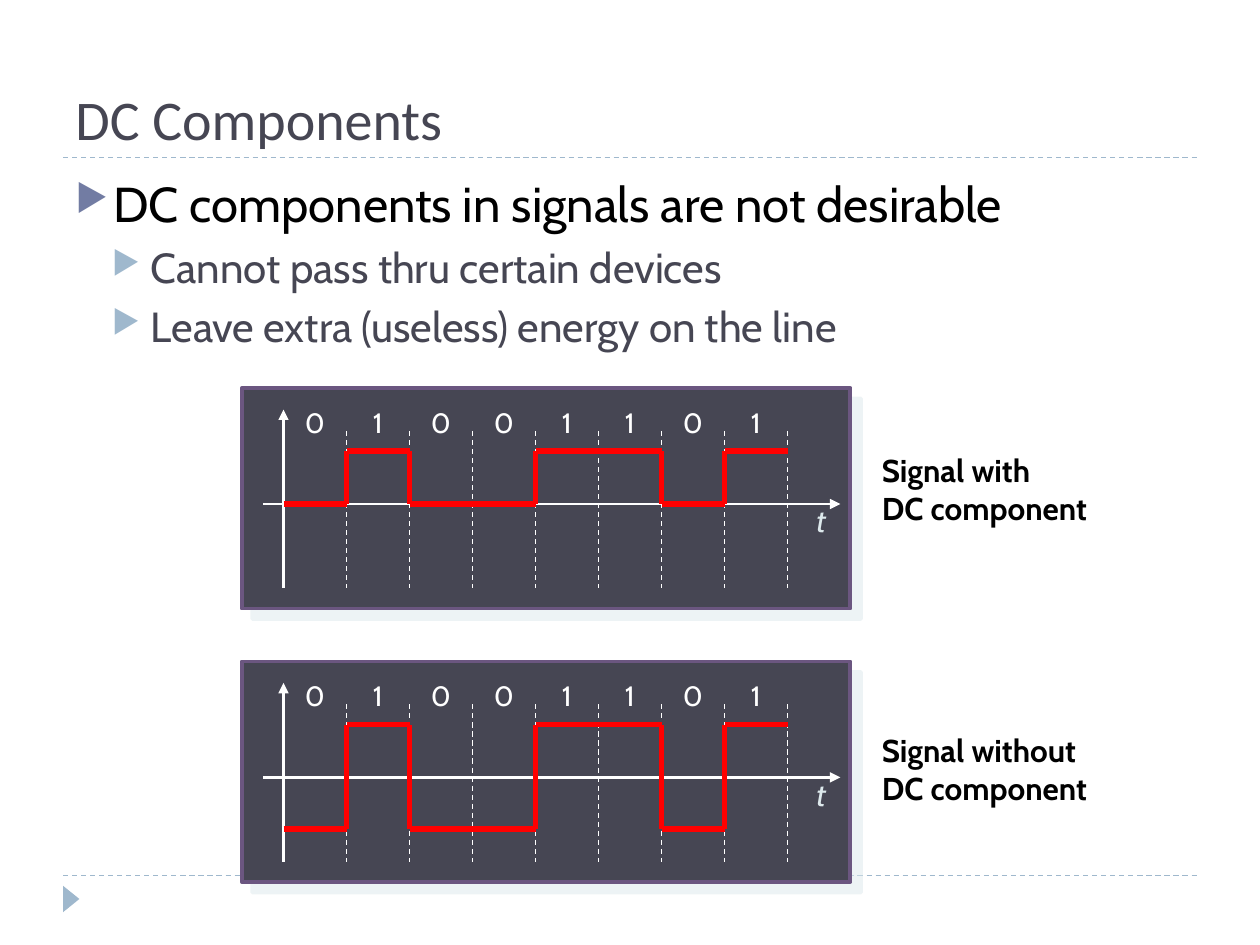
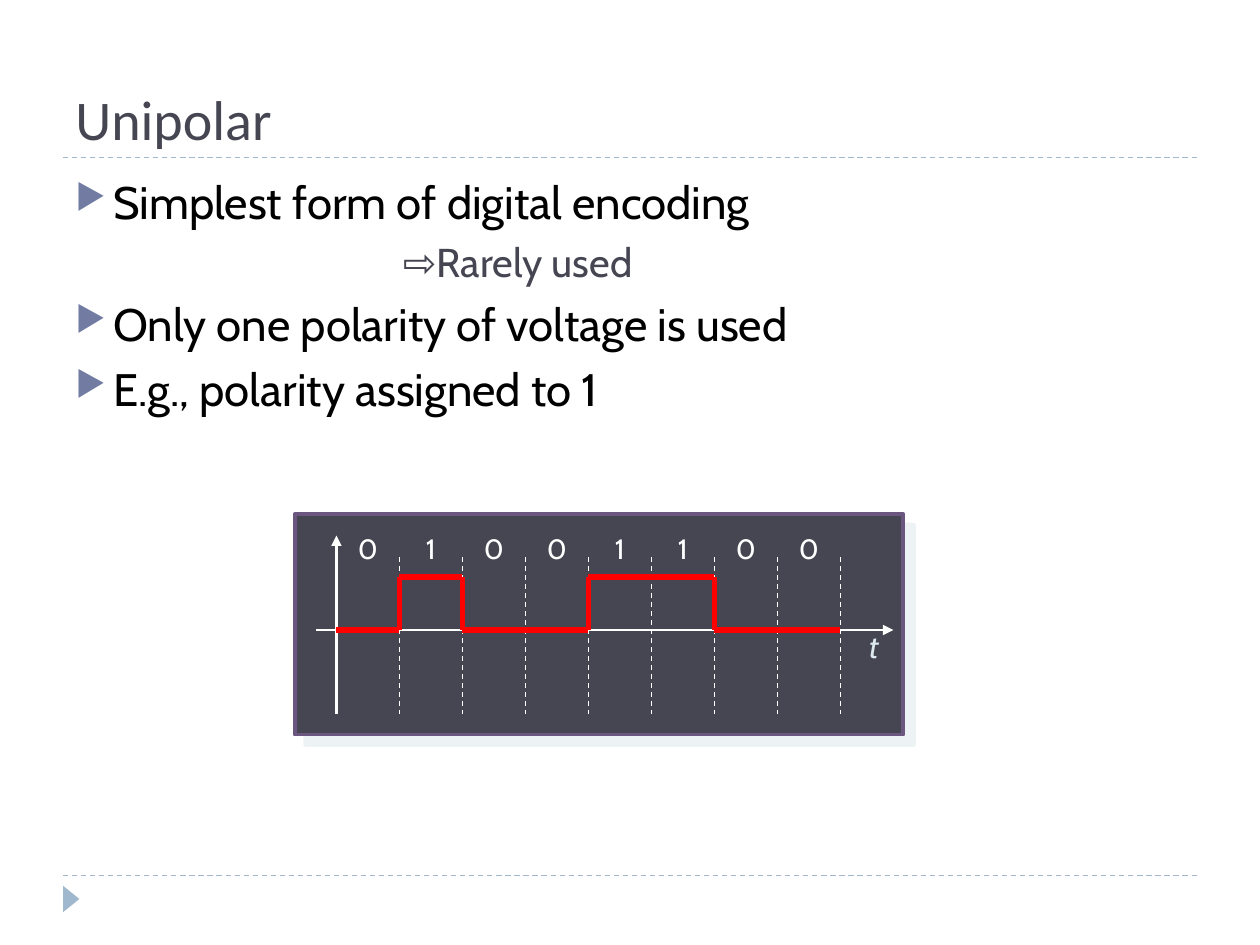
"""Build two slides on digital signals and their DC components."""
from dataclasses import dataclass
from itertools import pairwise

from lxml.etree import SubElement as Sub
from pptx import Presentation
from pptx.dml.color import RGBColor as Rgb
from pptx.enum.dml import MSO_LINE as Dash
from pptx.enum.shapes import MSO_CONNECTOR as Link, MSO_SHAPE as Form
from pptx.enum.text import MSO_ANCHOR as Anchor, PP_ALIGN as Align
from pptx.oxml.ns import qn
from pptx.util import Inches, Pt


@dataclass(frozen=True)
class Theme:
    head: str = "Calibri"
    body: str = "Cabin"
    ink: str = "000000"
    slate: str = "464653"
    sky: str = "9FB8CD"
    blue: str = "727CA3"
    plum: str = "6B5680"
    mist: str = "DDE9EC"
    white: str = "FFFFFF"
    red: str = "FF0000"
    title: int = 32
    note: int = 18
    bit: int = 16
    thin: float = 0.75
    axis: float = 1.5
    edge: float = 2.25
    wave: float = 3


T = Theme()
STEP = 0.5
HIGH = 0.42


def add_run(para, text, size, color, font=T.body, bold=None, slant=None):
    run = para.add_run()
    run.text = text
    run.font.size = Pt(size)
    run.font.name = font
    run.font.color.rgb = Rgb.from_string(color)
    run.font.bold = bold
    run.font.italic = slant


def add_box(shapes, x, y, wide, high, anchor=Anchor.TOP):
    box = shapes.add_textbox(Inches(x), Inches(y), Inches(wide), Inches(high))
    frame = box.text_frame
    frame.word_wrap = True
    frame.vertical_anchor = anchor
    return frame


def add_line(shapes, start, end, color, width, dash=False, arrow=None):
    ends = [Inches(v) for v in (*start, *end)]
    line = shapes.add_connector(Link.STRAIGHT, *ends)
    line.line.color.rgb = Rgb.from_string(color)
    line.line.width = Pt(width)
    if dash:
        line.line.dash_style = Dash.DASH
    props = line._element.spPr
    if arrow:
        Sub(props.find(qn("a:ln")), qn(f"a:{arrow}"), type="triangle")
    Sub(props, qn("a:effectLst"))


def add_shape(shapes, form, x, y, wide, high, color):
    shape = shapes.add_shape(form, Inches(x), Inches(y), Inches(wide), Inches(high))
    shape.shadow.inherit = False
    shape.fill.solid()
    shape.fill.fore_color.rgb = Rgb.from_string(color)
    shape.line.fill.background()
    return shape


def add_shade(shape):
    effects = shape._element.spPr.find(qn("a:effectLst"))
    shade = Sub(effects, qn("a:outerShdw"), blurRad="0", dist=str(Pt(8.5)),
                dir="2700000", algn="ctr", rotWithShape="0")
    color = Sub(shade, qn("a:srgbClr"), val=T.mist)
    Sub(color, qn("a:alpha"), val="50000")


def add_item(para, text, size, level=0, gap=0, mark=True, left=None):
    para.level = level
    para.space_before = Pt(gap)
    ink, tint = ((T.ink, T.blue), (T.slate, T.sky))[level]
    indent, hang = ((0.3, -0.3), (0.6, -0.31))[level]
    props = para._p.get_or_add_pPr()
    props.set("marL", str(Inches(left or indent)))
    props.set("indent", str(Inches(hang if mark else 0)))
    if mark:
        Sub(Sub(props, qn("a:buClr")), qn("a:srgbClr"), val=tint)
        Sub(props, qn("a:buSzPct"), val="76000")
        Sub(props, qn("a:buChar"), char="▶")
    else:
        Sub(props, qn("a:buNone"))
    add_run(para, text, size, ink)


def add_list(slide, items):
    frame = add_box(slide.shapes, 0.5, 1.33, 9, 5.4)
    for n, item in enumerate(items):
        para = frame.add_paragraph() if n else frame.paragraphs[0]
        add_item(para, **item)


def add_page(deck, title):
    slide = deck.slides.add_slide(deck.slide_layouts[6])
    for y in (6.95, 1.25):
        add_line(slide.shapes, (0.5, y), (9.5, y), T.sky, T.thin, dash=True)
    mark = add_shape(slide.shapes, Form.ISOSCELES_TRIANGLE, 0.46, 7.07, 0.21, 0.13, T.sky)
    mark.rotation = 90
    frame = add_box(slide.shapes, 0.5, 0.17, 9, 1.08, Anchor.BOTTOM)
    add_run(frame.paragraphs[0], title, T.title, T.slate, T.head)
    return slide


def add_wave(shapes, x, y, bits, low):
    levels = [y - HIGH if bit == "1" else y + low for bit in bits]
    for n, level in enumerate(levels):
        left = x + n * STEP
        add_line(shapes, (left, level), (left + STEP, level), T.red, T.wave)
    for n, (old, new) in enumerate(pairwise(levels), 1):
        if old != new:
            edge = x + n * STEP
            add_line(shapes, (edge, min(old, new)), (edge, max(old, new)), T.red, T.wave)


def add_plot(slide, x, y, bits, low=0):
    """Draw a signal panel whose axes cross at x, y."""
    shapes = slide.shapes.add_group_shape().shapes
    panel = add_shape(shapes, Form.RECTANGLE, x - 0.33, y - 0.92, 4.83, 1.75, T.slate)
    panel.line.color.rgb = Rgb.from_string(T.plum)
    panel.line.width = Pt(T.edge)
    add_shade(panel)
    foot = y + 0.67
    add_line(shapes, (x, y - 0.75), (x, foot), T.white, T.axis, arrow="headEnd")
    add_line(shapes, (x - 0.16, y), (x + 4.42, y), T.white, T.axis, arrow="tailEnd")
    time = add_box(shapes, x + 4.13, y - 0.07, 0.28, 0.4)
    add_run(time.paragraphs[0], "t", T.note, T.mist, slant=True)
    for n, bit in enumerate(bits):
        left = x + n * STEP
        right = left + STEP
        add_line(shapes, (right, y - 0.58), (right, foot), T.white, T.thin, dash=True)
        para = add_box(shapes, left, y - 0.83, STEP, 0.37).paragraphs[0]
        para.alignment = Align.CENTER
        add_run(para, bit, T.bit, T.white)
    add_wave(shapes, x, y, bits, low)


def add_note(slide, y, first, second):
    para = add_box(slide.shapes, 6.9, y, 2, 0.71).paragraphs[0]
    add_run(para, first, T.note, T.ink, bold=True)
    para.add_line_break()
    add_run(para, second, T.note, T.ink, bold=True)


def main():
    deck = Presentation()
    deck.slide_width, deck.slide_height = Inches(10), Inches(7.5)

    slide = add_page(deck, "DC Components")
    add_list(slide, [
        dict(text="DC components in signals are not desirable", size=28),
        dict(text="Cannot pass thru certain devices", size=24, level=1, gap=5),
        dict(text="Leave extra (useless) energy on the line", size=24, level=1, gap=5),
    ])
    add_plot(slide, 2.25, 4, "01001101")
    add_plot(slide, 2.25, 6.17, "01001101", low=0.41)
    add_note(slide, 3.53, "Signal with", "DC component")
    add_note(slide, 5.75, "Signal without", "DC component")

    slide = add_page(deck, "Unipolar")
    add_list(slide, [
        dict(text="Simplest form of digital encoding", size=26),
        dict(text="⇨Rarely used", size=23, level=1, gap=5, mark=False, left=2.6),
        dict(text="Only one polarity of voltage is used", size=26, gap=6),
        dict(text="E.g., polarity assigned to 1", size=26, gap=6),
    ])
    add_plot(slide, 2.67, 5, "01001100")

    deck.save("out.pptx")


if __name__ == "__main__":
    main()
